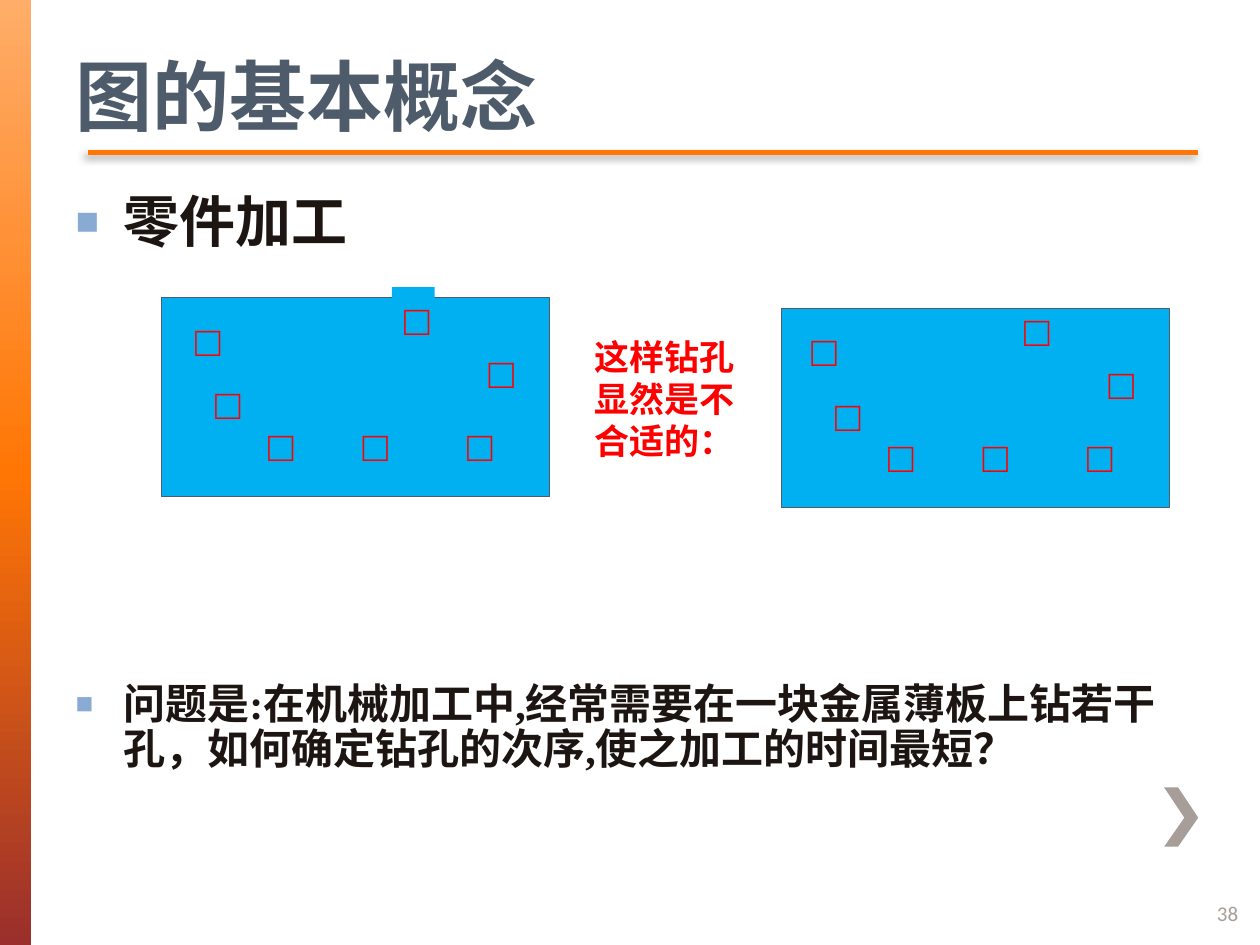
import pptx
import pptx.dml.color
import pptx.enum.shapes
import pptx.enum.text
import pptx.oxml
import pptx.oxml.ns
import pptx.util

Inches = pptx.util.Inches
Pt = pptx.util.Pt
Anchor = pptx.enum.text.MSO_ANCHOR
Align = pptx.enum.text.PP_ALIGN
Shapes = pptx.enum.shapes.MSO_SHAPE

COLORS = {
    "orange": "FF7605", "peach": "FFAD69", "maroon": "9A2F2C",
    "slate": "4D5B6B", "ink": "1C1511", "bullet": "89AAD3",
    "plate": "00B0F0", "red": "FF0000", "grey": "A79D99", "shadow": "000000",
}
HOLE_OFFSETS = [(0.33, 0.59), (0.75, 0.92), (1.83, -0.08), (1.5, 0.92),
                (2.5, 0.34), (2.33, 0.92)]


class SlideStyle:
    """Hold the palette and fonts, and draw the parts of the current slide."""

    serif = "Times New Roman"
    sans = "Calibri"

    def __init__(self, slide):
        self.slide = slide
        self.shapes = slide.shapes

    def color(self, name):
        return pptx.dml.color.RGBColor.from_string(COLORS[name])

    def xml(self, tag, inner):
        ns = pptx.oxml.ns.nsdecls("a")
        return pptx.oxml.parse_xml(f"<a:{tag} {ns}>{inner}</a:{tag}>")

    def place(self, shape, box):
        shape.left, shape.top, shape.width, shape.height = map(Inches, box)

    def format_runs(self, paragraph, size, color, font, bold=True):
        for run in paragraph.runs:
            run.font.size = Pt(size)
            run.font.name = font
            run.font.bold = bold
            run.font.color.rgb = self.color(color)

    def rectangle(self, box, fill, line=None):
        rect = self.shapes.add_shape(Shapes.RECTANGLE, *map(Inches, box))
        rect.shadow.inherit = False
        rect.fill.solid()
        rect.fill.fore_color.rgb = self.color(fill)
        if line:
            rect.line.color.rgb = self.color(line)
            rect.line.width = Pt(0.75)
        else:
            rect.line.fill.background()
        return rect

    def side_band(self, box, stops):
        band = self.rectangle(box, stops[0][1])
        inner = "".join(
            f'<a:gs pos="{percent * 1000}"><a:srgbClr val="{COLORS[name]}"/></a:gs>'
            for percent, name in stops)
        gradient = self.xml("gradFill", f'<a:gsLst>{inner}</a:gsLst><a:lin ang="5400000"/>')
        properties = band.element.spPr
        properties.replace(properties.find(pptx.oxml.ns.qn("a:solidFill")), gradient)

    def chevron(self, points, fill):
        start, *rest = [(Inches(x), Inches(y)) for x, y in points]
        builder = self.shapes.build_freeform(*start)
        builder.add_line_segments(rest, close=True)
        arrow = builder.convert_to_shape()
        arrow.shadow.inherit = False
        arrow.fill.solid()
        arrow.fill.fore_color.rgb = self.color(fill)
        arrow.line.fill.background()

    def rule(self, left, right, y):
        rule = self.shapes.add_connector(
            pptx.enum.shapes.MSO_CONNECTOR.STRAIGHT,
            Inches(left), Inches(y), Inches(right), Inches(y))
        rule.line.color.rgb = self.color("orange")
        rule.line.width = Pt(2.5)
        rule.element.spPr.append(self.xml(
            "effectLst",
            f'<a:outerShdw blurRad="{Pt(5)}" dist="{Pt(3)}" dir="8100000">'
            f'<a:srgbClr val="{COLORS["shadow"]}"><a:alpha val="45000"/></a:srgbClr>'
            "</a:outerShdw>"))

    def title(self, text, box):
        heading = self.shapes.title
        self.place(heading, box)
        frame = heading.text_frame
        frame.text = text
        frame.auto_size = pptx.enum.text.MSO_AUTO_SIZE.NONE
        frame.vertical_anchor = Anchor.MIDDLE
        frame.paragraphs[0].alignment = Align.LEFT
        self.format_runs(frame.paragraphs[0], 44, "slate", self.sans)

    def bullets(self, items, box):
        body = self.slide.placeholders[1]
        self.place(body, box)
        frame = body.text_frame
        frame.text = "\n".join(text for text, size, gap in items)
        frame.auto_size = pptx.enum.text.MSO_AUTO_SIZE.NONE
        for paragraph, (text, size, gap) in zip(frame.paragraphs, items):
            properties = paragraph._p.get_or_add_pPr()
            properties.set("marL", str(Inches(0.38)))
            properties.set("indent", str(Inches(-0.38)))
            bullet = self.xml(
                "pPr",
                f'<a:buClr><a:srgbClr val="{COLORS["bullet"]}"/></a:buClr>'
                '<a:buSzPct val="70000"/><a:buFont typeface="Arial"/><a:buChar char="■"/>')
            properties.extend(list(bullet))
            paragraph.line_spacing = 0.9
            paragraph.space_before = Pt(gap)
            self.format_runs(paragraph, size, "ink", self.serif)

    def label(self, text, box, size, color, font, bold=True, align=Align.LEFT,
              anchor=Anchor.TOP):
        caption = self.shapes.add_textbox(*map(Inches, box))
        self.fill_text(caption, text, size, color, font, bold, align, anchor)

    def fill_text(self, shape, text, size, color, font, bold=True, align=Align.LEFT,
                  anchor=Anchor.TOP):
        frame = shape.text_frame
        frame.text = text
        frame.word_wrap = True
        frame.vertical_anchor = anchor
        frame.paragraphs[0].alignment = align
        self.format_runs(frame.paragraphs[0], size, color, font, bold)

    def drilled_plate(self, left, top, first_hole, filled):
        self.rectangle((left, top, 3.08, 1.58), "plate", "slate")
        hole_width = 0.34 if filled else 0.42
        holes = [first_hole] + [(x, y, hole_width) for x, y in HOLE_OFFSETS]
        for x, y, width in holes:
            box = (left + x, top + y, width, 0.5)
            if filled:
                hole = self.rectangle(box, "plate")
                self.fill_text(hole, "□", 24, "red", self.serif)
                hole.text_frame.word_wrap = width > hole_width
            else:
                self.label("□", box, 24, "red", self.serif)


def main():
    """Build the slide and save it."""
    deck = pptx.Presentation()
    deck.slide_width, deck.slide_height = Inches(10), Inches(7.5)
    style = SlideStyle(deck.slides.add_slide(deck.slide_layouts[1]))

    style.side_band((0, 0, 0.25, 7.5), [(0, "peach"), (50, "orange"), (100, "maroon")])
    style.chevron([(9.35, 6.25), (9.24, 6.25), (9.4, 6.49), (9.24, 6.72),
                   (9.35, 6.72), (9.51, 6.49)], "grey")
    style.rule(0.7, 9.51, 1.21)
    style.title("图的基本概念", (0.5, 0.36, 9, 0.79))
    style.bullets([
        ("零件加工", 32, 0),
        ("问题是:在机械加工中,经常需要在一块金属薄板上钻若干孔，"
         "如何确定钻孔的次序,使之加工的时间最短？", 24, 245),
    ], (0.5, 1.49, 9, 2.82))
    style.drilled_plate(1.28, 2.36, (0.17, 0.09, 0.42), filled=True)
    style.drilled_plate(6.2, 2.45, (0.14, 0.08, 0.52), filled=False)
    style.label("这样钻孔显然是不合适的：", (4.61, 2.61, 1.33, 1.1), 20, "red",
                style.serif, align=Align.CENTER)
    style.label("38", (9.56, 7.05, 0.42, 0.4), 12, "grey", style.sans, bold=False,
                anchor=Anchor.MIDDLE)
    deck.save("out.pptx")


if __name__ == "__main__":
    main()
